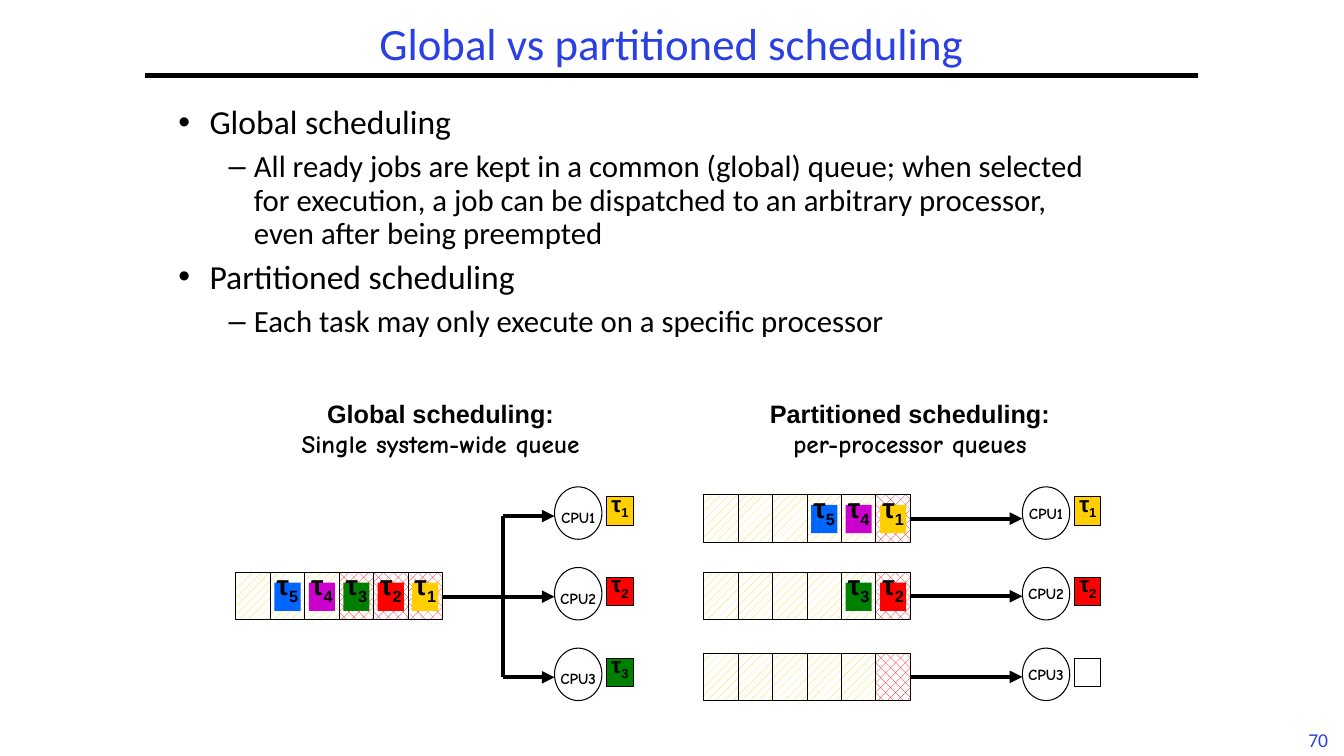
from lxml.etree import SubElement
from pptx import Presentation
from pptx.dml.color import RGBColor
from pptx.enum.dml import MSO_PATTERN
from pptx.enum.shapes import MSO_CONNECTOR, MSO_SHAPE
from pptx.enum.text import MSO_ANCHOR, PP_ALIGN
from pptx.oxml.ns import qn
from pptx.util import Inches, Pt

BLACK = RGBColor(0x00, 0x00, 0x00)
WHITE = RGBColor(0xFF, 0xFF, 0xFF)
BLUE = RGBColor(0x2A, 0x40, 0xE2)
RED = RGBColor(0xFF, 0x00, 0x00)
YELLOW = RGBColor(0xFF, 0xCF, 0x01)
TASK_COLOURS = {1: YELLOW, 2: RED, 3: RGBColor(0x00, 0x80, 0x00),
                4: RGBColor(0xCC, 0x00, 0xCC), 5: RGBColor(0x00, 0x66, 0xFF)}

QUEUE_WIDTH, CELL_COUNT, CELL_HEIGHT = 2.05, 6, 0.47
CELL_WIDTH = QUEUE_WIDTH / CELL_COUNT
TILE_WIDTH, TILE_HEIGHT = 0.26, 0.28
CPU_LEFT, CPU_WIDTH, CPU_HEIGHT, CPU_PITCH = 3.16, 0.47, 0.52, 0.8
ARROW_DROP = 0.29


def style_paragraph(para, size, name, colour=BLACK, bold=False, align=PP_ALIGN.CENTER):
    """Set the alignment and font of a whole paragraph."""
    para.alignment = align
    para.font.size = Pt(size)
    para.font.name = name
    para.font.color.rgb = colour
    para.font.bold = bold


def add_text_box(page, left, top, width, height, wrap=True):
    """Add an empty text box and return its text frame."""
    box = page.shapes.add_textbox(Inches(left), Inches(top), Inches(width), Inches(height))
    box.text_frame.word_wrap = wrap
    return box.text_frame


def add_outline(group, kind, left, top, width, height, fill=None, line=True):
    """Add a preset shape with an optional solid fill and thin black line."""
    shape = group.shapes.add_shape(kind, Inches(left), Inches(top), Inches(width), Inches(height))
    shape.shadow.inherit = False
    if fill is not None:
        shape.fill.solid()
        shape.fill.fore_color.rgb = fill
    if line:
        shape.line.color.rgb = BLACK
        shape.line.width = Pt(0.75)
    else:
        shape.line.fill.background()
    shape.text_frame.word_wrap = False
    return shape


def add_line(parent, start, end, arrow=False):
    """Draw a thick black line, with an arrowhead at its end if asked."""
    points = [Inches(value) for value in (*start, *end)]
    line = parent.shapes.add_connector(MSO_CONNECTOR.STRAIGHT, *points)
    line.line.color.rgb = BLACK
    line.line.width = Pt(3)
    if arrow:
        SubElement(line.line._get_or_add_ln(), qn("a:tailEnd"), type="triangle")
    SubElement(line._element.spPr, qn("a:effectLst"))


def add_task(group, left, top, task, size, line):
    """Add a coloured tile labelled with a task, or a blank one for no task."""
    tile = add_outline(group, MSO_SHAPE.RECTANGLE, left, top, TILE_WIDTH, TILE_HEIGHT,
                       TASK_COLOURS.get(task, WHITE), line)
    if task is None:
        return
    tile.text_frame.vertical_anchor = MSO_ANCHOR.BOTTOM
    para = tile.text_frame.paragraphs[0]
    style_paragraph(para, size, "Arial", bold=True)
    para.add_run().text = "τ"
    index = para.add_run()
    index.text = str(task)
    index._r.get_or_add_rPr().set("baseline", "-25000")


def add_queue(group, left, top, tasks, head_count):
    """Draw a queue whose tasks fill it from the right-hand head."""
    for place in range(CELL_COUNT):
        cell = add_outline(group, MSO_SHAPE.RECTANGLE, left + place * CELL_WIDTH, top,
                           CELL_WIDTH, CELL_HEIGHT)
        head = place >= CELL_COUNT - head_count
        cell.fill.patterned()
        cell.fill.pattern = MSO_PATTERN.PERCENT_30 if head else MSO_PATTERN.PERCENT_20
        cell.fill.fore_color.rgb = RED if head else YELLOW
        cell.fill.back_color.rgb = WHITE
    first = left + (CELL_COUNT - len(tasks)) * CELL_WIDTH
    for place, task in enumerate(tasks):
        add_task(group, first + place * CELL_WIDTH + 0.04, top + 0.1, task, 20, False)


def add_processors(group, left, top, running, anchor):
    """Draw a column of processors, each with the task it runs."""
    for number, task in enumerate(running):
        row_top = top + number * CPU_PITCH
        cpu = add_outline(group, MSO_SHAPE.OVAL, left, row_top, CPU_WIDTH, CPU_HEIGHT, WHITE)
        cpu.text_frame.vertical_anchor = anchor
        para = cpu.text_frame.paragraphs[0]
        para.text = f"CPU{number + 1}"
        style_paragraph(para, 11, "Comic Neue", bold=True)
        add_task(group, left + 0.52, row_top + 0.1, task, 16, True)


def add_heading(page, left, top, width, title, caption):
    """Add the two-line heading above a diagram."""
    frame = add_text_box(page, left, top, width, 0.71, wrap=False)
    frame.text = f"{title}\n{caption}"
    for para, name in zip(frame.paragraphs, ("Arial", "Comic Neue")):
        style_paragraph(para, 18, name, bold=True)


def add_global_diagram(page, left, top):
    """Draw one queue that feeds all processors."""
    add_heading(page, left + 0.3, top - 0.93, 3.46, "Global scheduling:",
                "Single system-wide queue")
    group = page.shapes.add_group_shape()
    rows = [top + ARROW_DROP + number * CPU_PITCH for number in range(3)]
    cpu_left, branch = left + CPU_LEFT, left + 2.65
    add_processors(group, cpu_left, top, (1, 2, 3), MSO_ANCHOR.BOTTOM)
    add_queue(group, left, top + 0.85, (5, 4, 3, 2, 1), 3)
    for start, row in zip((branch, left + QUEUE_WIDTH, branch), rows):
        add_line(group, (start, row), (cpu_left, row), arrow=True)
    add_line(group, (branch, rows[0]), (branch, rows[-1]))


def add_partitioned_diagram(page, left, top):
    """Draw one queue for each processor."""
    add_heading(page, left + 0.54, top - 0.93, 3.01, "Partitioned scheduling:",
                "per-processor queues")
    group = page.shapes.add_group_shape()
    add_processors(group, left + CPU_LEFT, top, (1, 2, None), MSO_ANCHOR.MIDDLE)
    for drop, tasks in ((0.08, (5, 4, 1)), (0.85, (3, 2)), (1.65, ())):
        add_queue(group, left, top + drop, tasks, 1)
        row = top + drop + CELL_HEIGHT / 2
        add_line(group, (left + QUEUE_WIDTH, row), (left + CPU_LEFT, row), arrow=True)


def add_title(page, left, top, width, height):
    """Add the slide title and the rule under it."""
    frame = add_text_box(page, left, top, width, height)
    frame.vertical_anchor = MSO_ANCHOR.MIDDLE
    para = frame.paragraphs[0]
    para.text = "Global vs partitioned scheduling"
    para.line_spacing = 0.9
    style_paragraph(para, 32, "Calibri", BLUE)
    add_line(page, (left, top + height), (left + width, top + height))


def add_body(page, left, top, width, height):
    """Add the two-level bullet list."""
    levels = (("•", 0.31, 0.31, 24), ("–", 0.75, 0.25, 22))
    items = (
        (0, "Global scheduling"),
        (1, "All ready jobs are kept in a common (global) queue; when selected for execution, "
            "a job can be dispatched to an arbitrary processor, even after being preempted"),
        (0, "Partitioned scheduling"),
        (1, "Each task may only execute on a specific processor"),
    )
    frame = add_text_box(page, left, top, width, height)
    frame.text = "\n".join(text for _, text in items)
    for place, (para, (level, _)) in enumerate(zip(frame.paragraphs, items)):
        mark, indent, hang, size = levels[level]
        para.level = level
        para.line_spacing = 0.9
        if place:
            para.space_before = Pt(6.6)
        properties = para._p.get_or_add_pPr()
        properties.set("marL", str(Inches(indent)))
        properties.set("indent", str(-Inches(hang)))
        SubElement(properties, qn("a:buFont"), typeface="Arial")
        SubElement(properties, qn("a:buChar"), char=mark)
        style_paragraph(para, size, "Calibri", align=PP_ALIGN.LEFT)


def add_page_number(page, left, top, width, height):
    """Add the page number."""
    para = add_text_box(page, left, top, width, height, wrap=False).paragraphs[0]
    para.text = "70"
    style_paragraph(para, 14, "Calibri", BLUE)


def main():
    """Build and save the slide."""
    deck = Presentation()
    deck.slide_width, deck.slide_height = Inches(13.33), Inches(7.5)
    page = deck.slides.add_slide(deck.slide_layouts[6])
    add_page_number(page, 12.86, 7.17, 0.43, 0.33)
    add_title(page, 1.44, 0.17, 10.44, 0.58)
    add_body(page, 1.67, 1, 9.42, 2.6)
    add_global_diagram(page, 2.34, 4.83)
    add_partitioned_diagram(page, 6.98, 4.83)
    deck.save("out.pptx")


if __name__ == "__main__":
    main()
